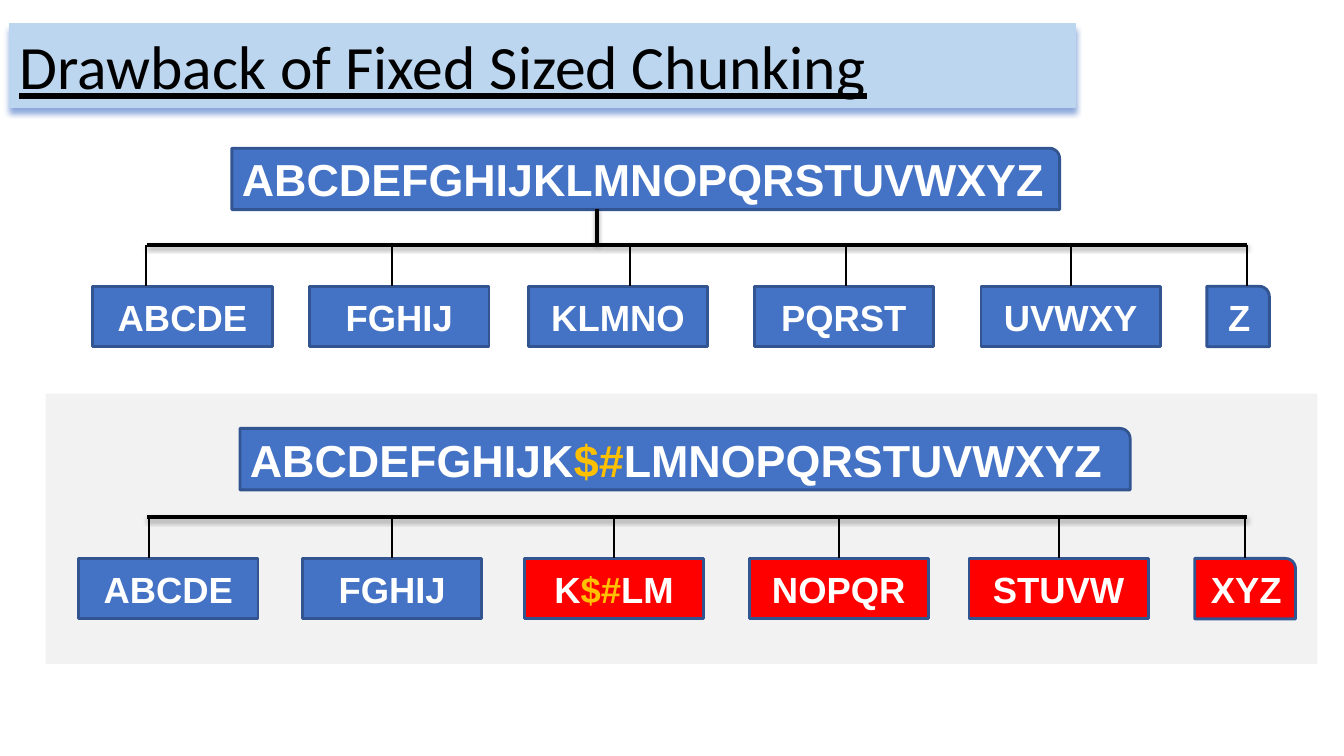
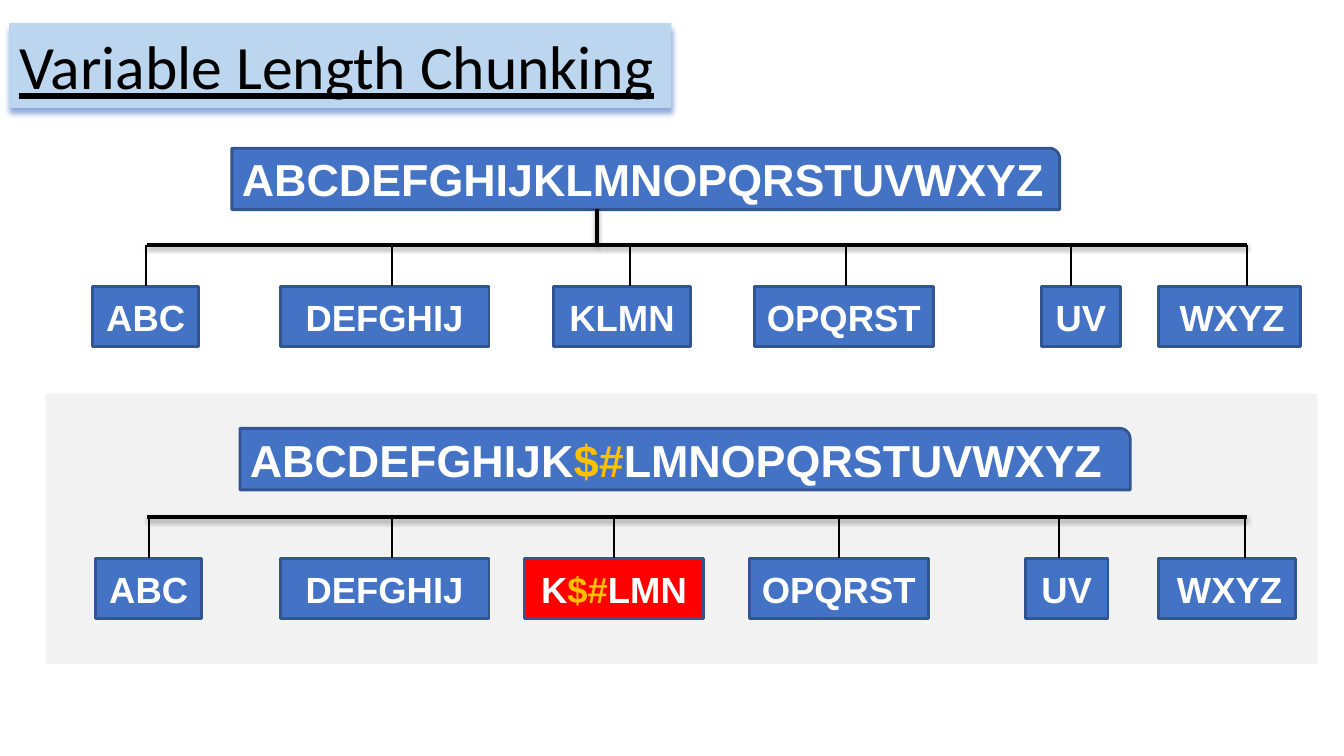
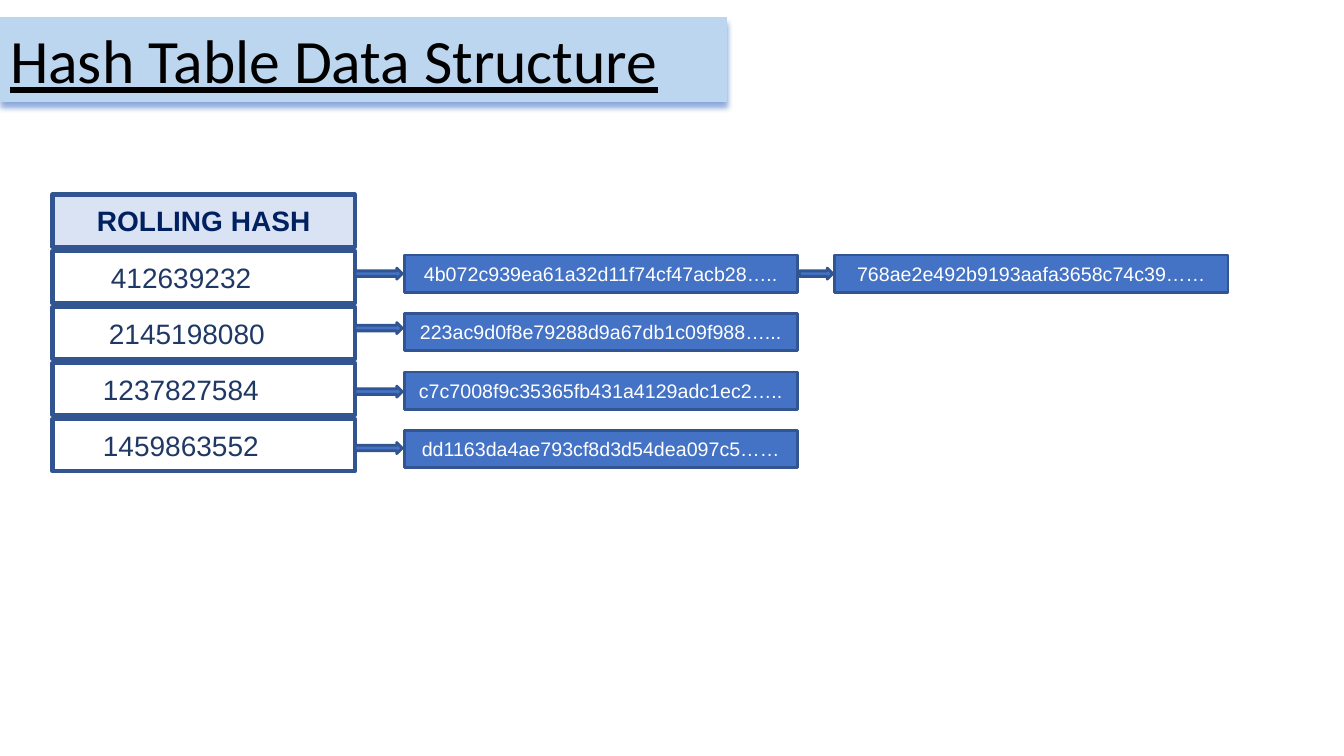
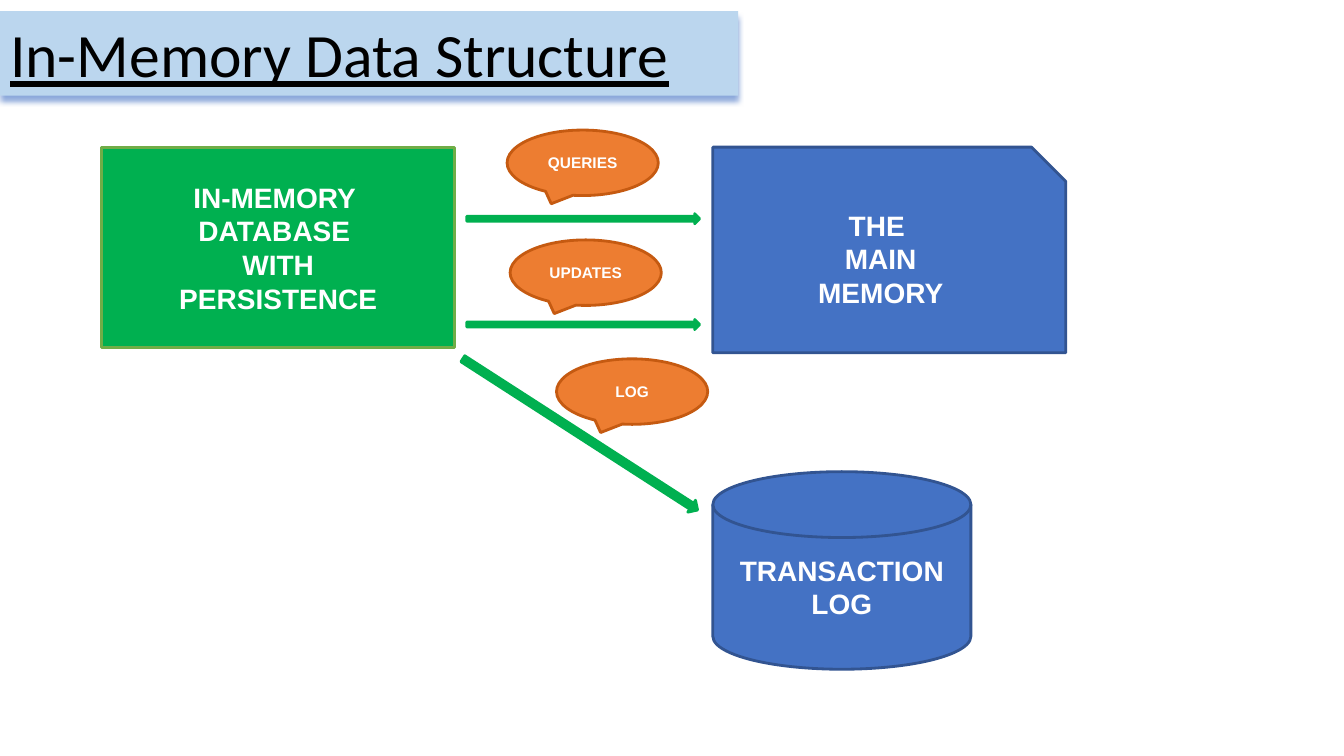
from lxml import etree
from pptx import Presentation
from pptx.dml.color import RGBColor
from pptx.enum.shapes import MSO_CONNECTOR, MSO_SHAPE
from pptx.enum.text import MSO_ANCHOR, MSO_AUTO_SIZE, PP_ALIGN
from pptx.oxml.ns import qn
from pptx.util import Inches, Pt

RECTANGLE = MSO_SHAPE.RECTANGLE
ROUND_CORNER = MSO_SHAPE.ROUND_1_RECTANGLE
SNIP_CORNER = MSO_SHAPE.SNIP_1_RECTANGLE
ARROW = MSO_SHAPE.RIGHT_ARROW
CALLOUT = MSO_SHAPE.OVAL_CALLOUT
DISK = MSO_SHAPE.FLOWCHART_MAGNETIC_DISK
STRAIGHT = MSO_CONNECTOR.STRAIGHT
LEFT, CENTER = PP_ALIGN.LEFT, PP_ALIGN.CENTER
TOP, MIDDLE = MSO_ANCHOR.TOP, MSO_ANCHOR.MIDDLE

WHITE = RGBColor(0xFF, 0xFF, 0xFF)
BLACK = RGBColor(0x00, 0x00, 0x00)
BLUE = RGBColor(0x44, 0x72, 0xC4)
DARK_BLUE = RGBColor(0x32, 0x54, 0x91)
BAND_BLUE = RGBColor(0xBB, 0xD6, 0xEE)
BAND_SHADOW = RGBColor(0x8D, 0xA9, 0xDB)
HEADER_BLUE = RGBColor(0xDA, 0xE3, 0xF3)
NAVY = RGBColor(0x00, 0x20, 0x60)
NUMBER_BLUE = RGBColor(0x20, 0x38, 0x64)
GRAY = RGBColor(0xF2, 0xF2, 0xF2)
RED = RGBColor(0xFF, 0x00, 0x00)
GOLD = RGBColor(0xFF, 0xC0, 0x00)
GREEN = RGBColor(0x00, 0xB0, 0x50)
LEAF = RGBColor(0x70, 0xAD, 0x47)
ORANGE = RGBColor(0xED, 0x7D, 0x31)
RUST = RGBColor(0xC5, 0x5A, 0x11)

# Text inserted into the stream, shown in gold
INSERTED = "$#"

# Stream: text, left, top, width
BEFORE_STREAM = ("ABCDEFGHIJKLMNOPQRSTUVWXYZ", 2.3, 1.47, 8.21)
AFTER_STREAM = ("ABCDEFGHIJK$#LMNOPQRSTUVWXYZ", 2.38, 4.25, 8.83)

# Tree: bar height, chunk top, drop positions
BEFORE_TREE = (2.43, 2.84, [1.45, 3.89, 6.25, 8.39, 10.62, 12.37])
AFTER_TREE = (5.13, 5.54, [1.48, 3.89, 6.09, 8.32, 10.5, 12.35])
BAR_LEFT, BAR_RIGHT = 1.46, 12.37
STEM = 5.92

# Chunking pages: title, band width, rounding of the last chunk,
# then chunks before and after the change as text, left, width, fill
CHUNK_PAGES = [
    ("Drawback of Fixed Sized Chunking", 10.58, 0.17,
     [("ABCDE", 0.92, 1.78, BLUE), ("FGHIJ", 3.07, 1.78, BLUE),
      ("KLMNO", 5.24, 1.78, BLUE), ("PQRST", 7.48, 1.78, BLUE),
      ("UVWXY", 9.73, 1.78, BLUE), ("Z", 11.97, 0.62, BLUE)],
     [("ABCDE", 0.78, 1.78, BLUE), ("FGHIJ", 3, 1.78, BLUE),
      ("K$#LM", 5.2, 1.78, RED), ("NOPQR", 7.43, 1.78, RED),
      ("STUVW", 9.61, 1.78, RED), ("XYZ", 11.85, 1, RED)]),
    ("Variable Length Chunking", 6.57, 0,
     [("ABC", 0.92, 1.05, BLUE), ("DEFGHIJ", 2.78, 2.07, BLUE),
      ("KLMN", 5.49, 1.36, BLUE), ("OPQRST", 7.48, 1.78, BLUE),
      ("UV", 10.33, 0.78, BLUE), ("WXYZ", 11.49, 1.41, BLUE)],
     [("ABC", 0.95, 1.05, BLUE), ("DEFGHIJ", 2.78, 2.07, BLUE),
      ("K$#LMN", 5.2, 1.78, RED), ("OPQRST", 7.43, 1.78, BLUE),
      ("UV", 10.17, 0.82, BLUE), ("WXYZ", 11.49, 1.36, BLUE)]),
]

# Hash rows: number, number left, arrow top, digests in the chain
HASH_ROWS = [
    ("412639232", 1, 2.66, ["4b072c939ea61a32d11f74cf47acb28…..",
                            "768ae2e492b9193aafa3658c74c39……"]),
    ("2145198080", 0.98, 3.2, ["223ac9d0f8e79288d9a67db1c09f988…..."]),
    ("1237827584", 0.92, 3.83, ["c7c7008f9c35365fb431a4129adc1ec2….."]),
    ("1459863552", 0.92, 4.39, ["dd1163da4ae793cf8d3d54dea097c5……"]),
]

# Memory page: preset, text, place, fill, line, size
MEMORY_PARTS = [
    (RECTANGLE, "IN-MEMORY \nDATABASE \nWITH\nPERSISTENCE",
     (1.01, 1.46, 3.5, 1.99), GREEN, LEAF, 20),
    (SNIP_CORNER, "THE \nMAIN\nMEMORY", (7.07, 1.46, 3.5, 2.04), BLUE, DARK_BLUE, 20),
    (CALLOUT, "QUERIES", (5.03, 1.29, 1.5, 0.65), ORANGE, RUST, 11),
    (CALLOUT, "UPDATES", (5.06, 2.38, 1.5, 0.65), ORANGE, RUST, 11),
    (CALLOUT, "LOG", (5.52, 3.56, 1.5, 0.65), ORANGE, RUST, 11),
    (DISK, "TRANSACTION LOG", (7.07, 4.68, 2.56, 1.96), BLUE, DARK_BLUE, 20),
]
# Arrows: place, rotation
MEMORY_ARROWS = [
    ((4.63, 2.12, 2.31, 0.1), 0),
    ((4.63, 3.17, 2.31, 0.1), 0),
    ((4.37, 4.24, 2.77, 0.14), 32.8),
]


def add_effects(shape, color=None, opacity=100, blur=0, distance=0):
    """Give a shape a downward shadow, or an empty effect list without a colour."""
    effects = etree.SubElement(shape._element.spPr, qn("a:effectLst"))
    if color is None:
        return
    shadow = etree.SubElement(effects, qn("a:outerShdw"), blurRad=str(Pt(blur)),
                              dist=str(Pt(distance)), dir="5400000",
                              algn="t", rotWithShape="0")
    tint = etree.SubElement(shadow, qn("a:srgbClr"), val=str(color))
    etree.SubElement(tint, qn("a:alpha"), val=str(opacity * 1000))


def format_runs(frame, size, color, bold=False, font="Arial", align=CENTER):
    """Style all the text of a frame."""
    for paragraph in frame.paragraphs:
        paragraph.alignment = align
        for span in paragraph.runs:
            span.font.name = font
            span.font.size = Pt(size)
            span.font.bold = bold
            span.font.color.rgb = color


def add_page(title, left, top, width):
    """Add a slide with its underlined title on a shadowed band."""
    page = deck.slides.add_slide(deck.slide_layouts[5])
    band = page.shapes.title
    band.left, band.top = Inches(left), Inches(top)
    band.width, band.height = Inches(width), Inches(0.84)
    band.fill.solid()
    band.fill.fore_color.rgb = BAND_BLUE
    add_effects(band, BAND_SHADOW, 100, 4, 4)
    frame = band.text_frame
    frame.text = title
    frame.word_wrap = True
    frame.auto_size = MSO_AUTO_SIZE.NONE
    frame.vertical_anchor = TOP
    format_runs(frame, 44, BLACK, font="Calibri", align=LEFT)
    frame.paragraphs[0].runs[0].font.underline = True
    return page


def add_box(page, preset, place, fill=BLUE, line=DARK_BLUE, weight=2):
    """Add a preset shape with a flat fill and outline."""
    box = page.shapes.add_shape(preset, *[Inches(length) for length in place])
    box.shadow.inherit = False
    box.fill.solid()
    box.fill.fore_color.rgb = fill
    box.line.color.rgb = line
    box.line.width = Pt(weight)
    return box


def write(box, text, size, color=WHITE, bold=True, align=CENTER):
    """Put text in a box, with any inserted characters in gold."""
    frame = box.text_frame
    frame.word_wrap = True
    frame.vertical_anchor = MIDDLE
    head, mark, tail = text.partition(INSERTED)
    frame.text = head
    if mark:
        for piece in (mark, tail):
            frame.paragraphs[0].add_run().text = piece
    format_runs(frame, size, color, bold, align=align)
    if mark:
        frame.paragraphs[0].runs[1].font.color.rgb = GOLD


def add_line(page, start, end, heavy=False):
    """Add a black line; heavy ones are thicker and cast a shadow."""
    line = page.shapes.add_connector(
        STRAIGHT, *[Inches(length) for length in start + end])
    line.line.color.rgb = BLACK
    line.line.width = Pt(3 if heavy else 1.5)
    if heavy:
        add_effects(line, BLACK, 35, 3.1, 1.8)
    else:
        add_effects(line)


def add_tree(page, stream, tree, chunks, rounding):
    """Draw a stream, the bar below it and its row of chunks."""
    text, left, top, width = stream
    write(add_box(page, ROUND_CORNER, (left, top, width, 0.61)), text, 32, align=LEFT)
    bar, chunk_top, drops = tree
    add_line(page, (BAR_LEFT, bar), (BAR_RIGHT, bar), heavy=True)
    for chunk, drop in zip(chunks, drops):
        text, left, width, fill = chunk
        last = chunk is chunks[-1]
        preset = ROUND_CORNER if last else RECTANGLE
        box = add_box(page, preset, (left, chunk_top, width, 0.6), fill)
        if last:
            box.adjustments[0] = rounding
            box.text_frame.margin_left = Inches(0.15)
        write(box, text, 26)
        add_line(page, (drop, bar), (drop, chunk_top))


def add_chunk_page(title, width, rounding, before, after):
    """Build a page comparing chunks before and after an insertion."""
    page = add_page(title, 0.09, 0.23, width)
    panel = add_box(page, ROUND_CORNER, (0.44, 3.89, 12.64, 2.71), GRAY, WHITE)
    panel.adjustments[0] = 0.01
    add_tree(page, AFTER_STREAM, AFTER_TREE, after, rounding)
    add_tree(page, BEFORE_STREAM, BEFORE_TREE, before, rounding)
    add_line(page, (STEM, 2.07), (STEM, BEFORE_TREE[0]), heavy=True)


def add_number(page, text, left, top):
    """Add a one-cell table holding a rolling hash."""
    table = page.shapes.add_table(1, 1, Inches(left), Inches(top),
                                  Inches(2.13), Inches(0.43)).table
    table.first_row = table.horz_banding = False
    cell = table.cell(0, 0)
    cell.fill.background()
    cell.vertical_anchor = MIDDLE
    cell.text_frame.text = text
    format_runs(cell.text_frame, 20, NUMBER_BLUE, align=LEFT)


def add_hash_page():
    """Build the hash table with its chains of digests."""
    page = add_page("Hash Table Data Structure", 0, 0.17, 7.21)
    header = add_box(page, RECTANGLE, (0.52, 1.93, 3, 0.52), HEADER_BLUE, weight=3)
    write(header, "ROLLING HASH", 20, NAVY)
    for index, (number, left, arrow_top, digests) in enumerate(HASH_ROWS):
        slot_top = 2.49 + 0.555 * index
        add_box(page, RECTANGLE, (0.52, slot_top, 3, 0.52), WHITE, weight=3)
        add_number(page, number, left, slot_top + 0.06)
        for link, digest in enumerate(digests):
            digest_left = 4.01 + 4.27 * link
            arrow_width = 0.33 if link else 0.47
            add_box(page, ARROW,
                    (digest_left - 0.02 - arrow_width, arrow_top, arrow_width, 0.11))
            box = add_box(page, RECTANGLE,
                          (digest_left, 2.53 + 0.58 * index, 3.9, 0.37))
            write(box, digest, 14, bold=False)


def add_memory_page():
    """Build the in-memory database diagram."""
    page = add_page("In-Memory Data Structure", 0, 0.11, 7.32)
    for place, rotation in MEMORY_ARROWS:
        add_box(page, ARROW, place, GREEN, GREEN).rotation = rotation
    for preset, text, place, fill, line, size in MEMORY_PARTS:
        write(add_box(page, preset, place, fill, line), text, size)


deck = Presentation()
deck.slide_width, deck.slide_height = Inches(13.33), Inches(7.5)
for chunk_page in CHUNK_PAGES:
    add_chunk_page(*chunk_page)
add_hash_page()
add_memory_page()
deck.save("out.pptx")
